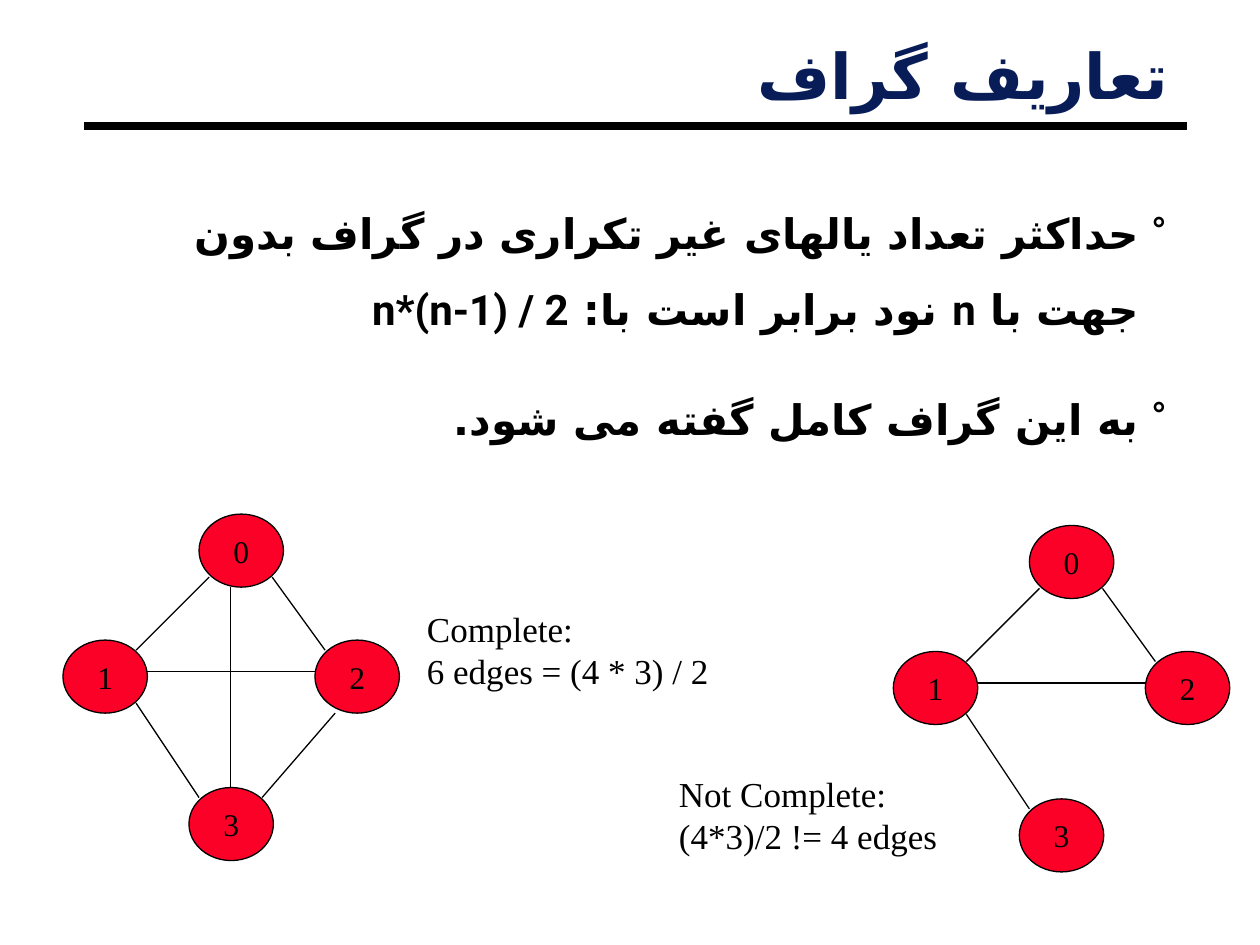
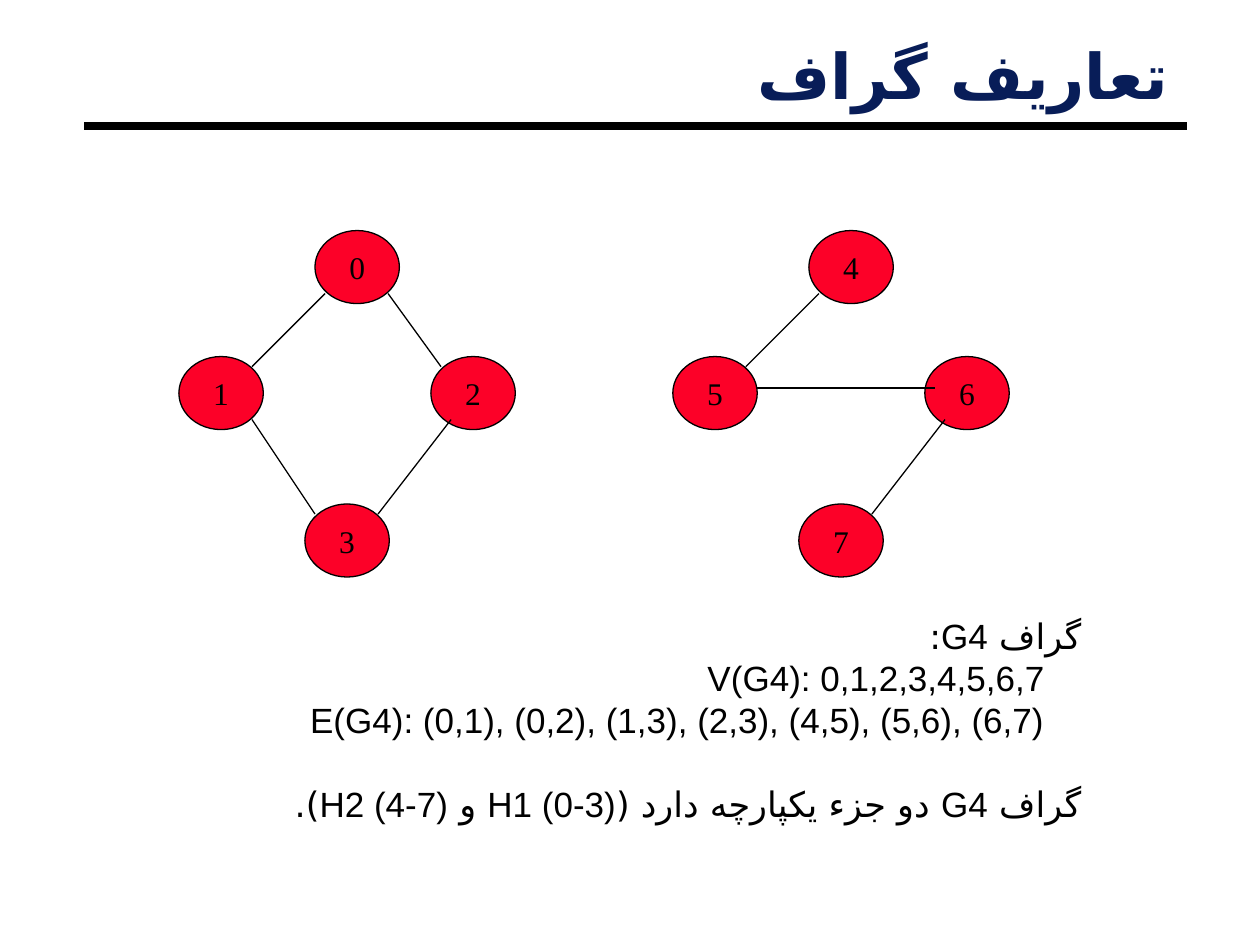
from dataclasses import dataclass, field

from lxml import etree
from pptx import Presentation
from pptx import util as u
from pptx.dml.color import RGBColor
from pptx.enum import shapes, text
from pptx.oxml.ns import qn

BLACK, NAVY, RED = "000000", "081D58", "FC0128"
SERIF = "Times New Roman"
PERSIAN = "DejaVu Sans"
NODE_SIZE = (0.67, 0.58)
LEFT, CENTER, RIGHT = text.PP_ALIGN.LEFT, text.PP_ALIGN.CENTER, text.PP_ALIGN.RIGHT

# Node places and edge ends, measured from the corner of the top node
NODE_OFFSETS = [(0, 0), (-1.08, 1), (0.92, 1), (-0.08, 2.17)]
EDGES = {
    "top-left": ((0.08, 0.5), (-0.5, 1.08)),
    "top-right": ((0.58, 0.5), (1, 1.08)),
    "top-bottom": ((0.25, 0.58), (0.25, 2.17)),
    "left-bottom": ((0, 2.25), (-0.5, 1.5)),
    "right-bottom": ((0.5, 2.25), (1.08, 1.5)),
    "right-bottom short": ((0.5, 2.25), (1.08, 1.58)),
    "left-right": ((-0.42, 1.25), (0.92, 1.25)),
    "left-right long": ((-0.42, 1.25), (1, 1.25)),
}


@dataclass
class Line:
    """One paragraph of text; indent and hanging are in inches."""
    words: str
    rtl: bool = False
    indent: float = 0
    hanging: float = 0
    bullet: str = ""
    before: float = 0


@dataclass
class Graph:
    left: float
    top: float
    labels: str
    edges: list[str] = field(default_factory=list)


COMPLETE = Graph(1.58, 4.08, "0123", ["top-left", "top-right", "top-bottom", "left-bottom",
                                      "right-bottom short", "left-right"])
NOT_COMPLETE = Graph(8.17, 4.17, "0123", ["top-left", "top-right", "left-bottom", "left-right"])
FIRST_PART = Graph(2.5, 1.83, "0123", ["top-left", "top-right", "left-bottom", "right-bottom"])
SECOND_PART = Graph(6.42, 1.83, "4567", ["top-left", "right-bottom", "left-right long"])


def color(value: str) -> RGBColor:
    return RGBColor.from_string(value)


def write(shape, lines: list[Line], *, size: float, font: str, fill: str = BLACK,
          bold: bool = False, align=LEFT, spacing: float = 1,
          margins=(0.1, 0.05), anchor=text.MSO_ANCHOR.TOP, wrap: bool = True) -> None:
    """Fill a shape with formatted paragraphs."""
    frame = shape.text_frame
    frame.word_wrap = wrap
    frame.vertical_anchor = anchor
    frame.margin_left = frame.margin_right = u.Inches(margins[0])
    frame.margin_top = frame.margin_bottom = u.Inches(margins[1])
    for index, line in enumerate(lines):
        para = frame.add_paragraph() if index else frame.paragraphs[0]
        para.alignment = align
        para.line_spacing = spacing
        if line.before:
            para.space_before = u.Pt(line.before)
        properties = para._p.get_or_add_pPr()
        if line.rtl:
            properties.set("rtl", "1")
        if line.indent:
            properties.set("marL", str(u.Inches(line.indent)))
            properties.set("indent", str(-u.Inches(line.hanging)))
        if line.bullet:
            tint = etree.SubElement(properties, qn("a:buClr"))
            etree.SubElement(tint, qn("a:srgbClr"), val=fill)
            etree.SubElement(properties, qn("a:buFont"), typeface=font)
            etree.SubElement(properties, qn("a:buChar"), char=line.bullet)
        span = para.add_run()
        span.text = line.words
        span.font.size = u.Pt(size)
        span.font.name = font
        span.font.bold = bold
        span.font.color.rgb = color(fill)
        if line.rtl:
            etree.SubElement(span._r.get_or_add_rPr(), qn("a:cs"), typeface=PERSIAN)


def add_text(page, left: float, top: float, width: float, height: float,
             lines: list[Line], **style) -> None:
    box = page.shapes.add_textbox(*map(u.Inches, (left, top, width, height)))
    write(box, lines, **style)


def add_line(page, start, end, width: float = 0.75) -> None:
    line = page.shapes.add_connector(shapes.MSO_CONNECTOR.STRAIGHT,
                                     *map(u.Inches, (*start, *end)))
    line.line.color.rgb = color(BLACK)
    line.line.width = u.Pt(width)
    etree.SubElement(line._element.spPr, qn("a:effectLst"))


def add_graph(page, graph: Graph) -> None:
    def place(offset):
        return graph.left + offset[0], graph.top + offset[1]

    for label, offset in zip(graph.labels, NODE_OFFSETS):
        node = page.shapes.add_shape(shapes.MSO_SHAPE.OVAL,
                                     *map(u.Inches, (*place(offset), *NODE_SIZE)))
        node.shadow.inherit = False
        node.fill.solid()
        node.fill.fore_color.rgb = color(RED)
        node.line.color.rgb = color(BLACK)
        node.line.width = u.Pt(0.75)
        write(node, [Line(label)], size=18, font=SERIF, align=CENTER,
              anchor=text.MSO_ANCHOR.MIDDLE, wrap=False)
    for name in graph.edges:
        start, end = EDGES[name]
        add_line(page, place(start), place(end))


def add_page(deck, title: str):
    """Add a slide with the shared rule and title."""
    page = deck.slides.add_slide(deck.slide_layouts[6])
    add_line(page, (0.67, 1), (9.42, 1), width=4.5)
    add_text(page, 0.67, 0.34, 8.67, 0.6, [Line(title, rtl=True)], size=36, font="Lato",
             fill=NAVY, bold=True, align=RIGHT, spacing=0.87, margins=(0.07, 0.03))
    return page


def add_complete_graph_page(deck) -> None:
    page = add_page(deck, "تعاریف گراف")
    item = dict(rtl=True, indent=0.22, hanging=0.22, bullet="°")
    add_text(page, 0.75, 1.42, 8.58, 2.13, [
        Line("حداکثر تعداد یالهای غیر تکراری در گراف بدون جهت با n نود برابر است با: n*(n-1) / 2",
             **item),
        Line("به این گراف کامل گفته می شود.", before=19.5, **item),
    ], size=24, font="Roboto", bold=True, align=RIGHT, spacing=1.5, margins=(0.07, 0.03))
    add_graph(page, COMPLETE)
    add_text(page, 3.29, 4.77, 2.64, 0.77,
             [Line("Complete:"), Line("6 edges = (4 * 3) / 2")], size=20, font=SERIF)
    add_graph(page, NOT_COMPLETE)
    add_text(page, 5.29, 6.08, 2.44, 0.77,
             [Line("Not Complete:"), Line("(4*3)/2 != 4 edges")], size=20, font=SERIF)


def add_components_page(deck) -> None:
    page = add_page(deck, "تعاریف گراف")
    add_graph(page, FIRST_PART)
    add_graph(page, SECOND_PART)
    add_text(page, 1.56, 4.83, 7.12, 1.77, [
        Line("گراف G4:", rtl=True),
        Line("V(G4): 0,1,2,3,4,5,6,7", rtl=True, indent=0.29),
        Line("E(G4): (0,1), (0,2), (1,3), (2,3), (4,5), (5,6), (6,7)", rtl=True, indent=0.29),
        Line("گراف G4 دو جزء یکپارچه دارد (H1 (0-3) و H2 (4-7)).", rtl=True, before=24),
    ], size=20, font="Arial", align=RIGHT)


def main() -> None:
    deck = Presentation()
    deck.slide_width, deck.slide_height = u.Inches(10), u.Inches(7.5)
    add_complete_graph_page(deck)
    add_components_page(deck)
    deck.save("out.pptx")


if __name__ == "__main__":
    main()
